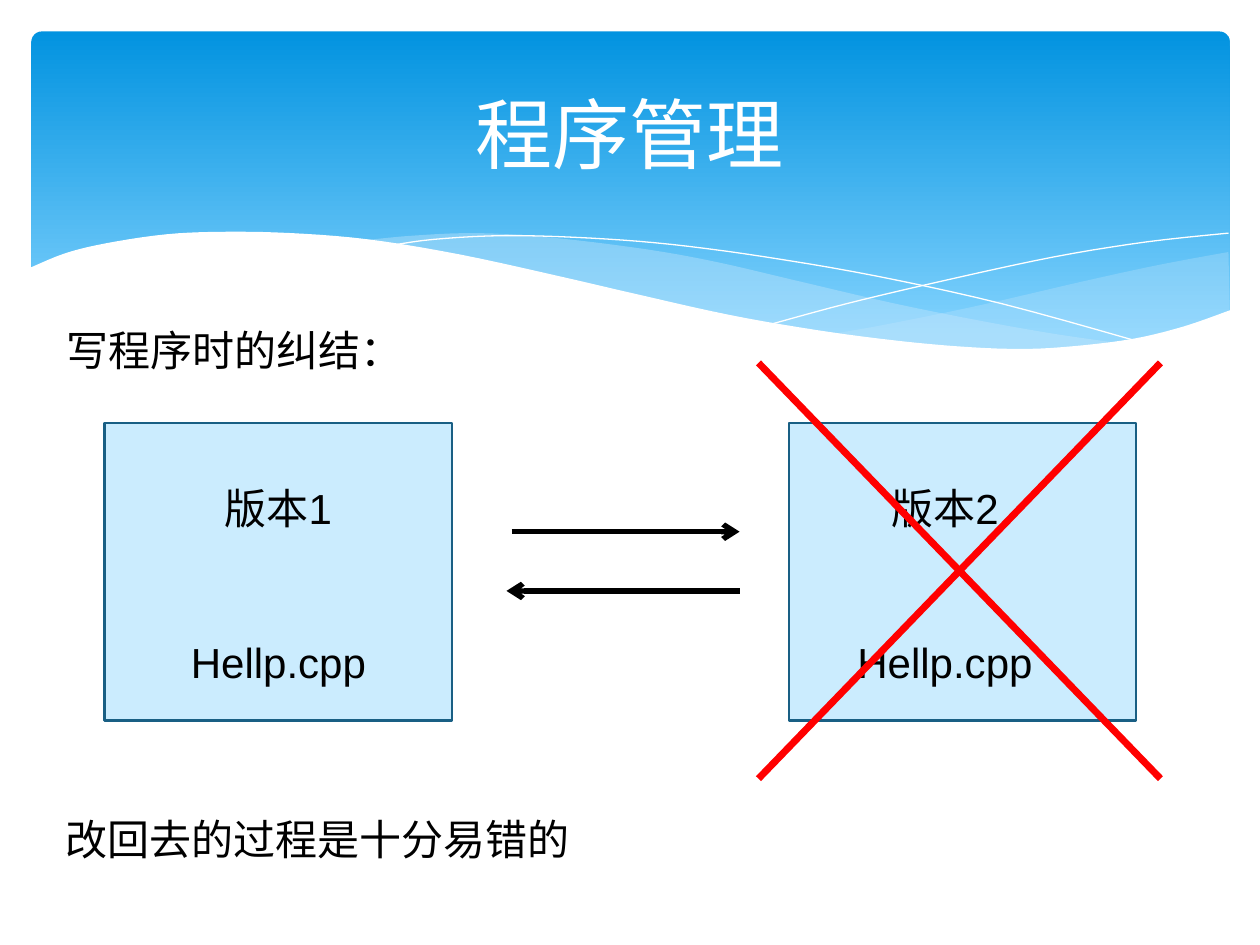
from dataclasses import dataclass

from lxml import etree
from pptx import Presentation
from pptx.dml.color import RGBColor
from pptx.enum.shapes import MSO_CONNECTOR, MSO_SHAPE
from pptx.enum.text import MSO_ANCHOR, MSO_AUTO_SIZE, PP_ALIGN
from pptx.oxml.ns import qn
from pptx.util import Inches, Pt

RECTANGLE, ROUNDED = MSO_SHAPE.RECTANGLE, MSO_SHAPE.ROUNDED_RECTANGLE
STRAIGHT = MSO_CONNECTOR.STRAIGHT
LEFT, CENTER = PP_ALIGN.LEFT, PP_ALIGN.CENTER


@dataclass(frozen=True)
class Theme:
    banner_top: RGBColor = RGBColor(0x02, 0x93, 0xE0)
    banner_bottom: RGBColor = RGBColor(0x83, 0xD3, 0xFE)
    wave: RGBColor = RGBColor(0xC6, 0xE7, 0xFC)
    white: RGBColor = RGBColor(0xFF, 0xFF, 0xFF)
    ink: RGBColor = RGBColor(0, 0, 0)
    card: RGBColor = RGBColor(0x31, 0xB6, 0xFD)
    card_edge: RGBColor = RGBColor(0x19, 0x5F, 0x84)
    cross: RGBColor = RGBColor(0xFF, 0, 0)
    title_size: Pt = Pt(44)
    body_size: Pt = Pt(24)
    body_font: str = "Calibri"
    card_font: str = "Arial"


THEME = Theme()

# Each outline is a list of curves, as points in inches from the banner's corner.
RIGHT_WAVE = [
    [(9.5, 1.75), (8.96, 1.85), (8.36, 1.98), (7.54, 2.17), (6.81, 2.32), (6.36, 2.4)],
    [(6.36, 2.4), (6.94, 2.47), (7.56, 2.52), (8.1, 2.52), (8.64, 2.47), (9.1, 2.37), (9.51, 2.22)],
]
MIDDLE_WAVE = [
    [(8.68, 2.48), (8.12, 2.4), (7.5, 2.29), (6.81, 2.15), (6.04, 1.97), (5.44, 1.83),
     (4.89, 1.73), (4.17, 1.64), (3.55, 1.6), (3.03, 1.62), (2.61, 1.66)],
    [(2.61, 1.66), (3.17, 1.74), (3.79, 1.86), (4.24, 1.97), (5.05, 2.15), (5.93, 2.33),
     (6.7, 2.45), (7.36, 2.52), (7.93, 2.53), (8.42, 2.51), (8.68, 2.48)],
]
FALLING_LINE = [
    [(2.84, 1.7), (3.19, 1.65), (3.76, 1.62), (4.44, 1.64), (5.08, 1.69), (5.83, 1.79),
     (6.7, 1.94), (7.7, 2.16), (8.82, 2.47)],
]
RISING_LINE = [
    [(5.88, 2.32), (6.47, 2.16), (7.23, 1.98), (8.11, 1.79), (8.85, 1.67), (9.5, 1.6)],
]
LOWER_EDGE = [
    [(9.52, 2.21), (9.15, 2.34), (8.74, 2.44), (8.25, 2.5), (7.84, 2.52), (7.36, 2.5),
     (6.83, 2.45), (6.23, 2.37), (5.54, 2.25), (4.78, 2.08), (4.22, 1.95), (3.4, 1.77),
     (2.67, 1.65), (2.05, 1.6), (1.52, 1.59), (1.07, 1.61), (0.6, 1.68), (0.27, 1.76),
     (-0.02, 1.88)],
    [(-0.02, 3.04)],
    [(9.52, 3.04)],
]


def smooth(points, steps=5):
    """Interpolate a Catmull-Rom curve through the points."""
    padded = [points[0], *points, points[-1]]
    curve = [points[0]]
    for a, b, c, d in zip(padded, padded[1:], padded[2:], padded[3:]):
        for step in range(1, steps + 1):
            t = step / steps
            curve.append(tuple(
                0.5 * (2 * q + (r - p) * t + (2 * p - 5 * q + 4 * r - s) * t**2
                       + (3 * q - p - 3 * r + s) * t**3)
                for p, q, r, s in zip(a, b, c, d)))
    return curve


def set_opacity(shape, percent):
    color = shape.element.spPr.find(qn("a:solidFill"))[0]
    etree.SubElement(color, qn("a:alpha"), val=str(percent * 1000))


def add_outline(slide, left, top, curves, fill=None, opacity=100):
    """Draw a filled outline, or a white hairline when there is no fill."""
    points = [(Inches(left + x), Inches(top + y))
              for curve in curves for x, y in smooth(curve)]
    builder = slide.shapes.build_freeform(*points[0])
    builder.add_line_segments(points[1:], close=fill is not None)
    outline = builder.convert_to_shape()
    outline.shadow.inherit = False
    if fill is None:
        outline.fill.background()
        outline.line.color.rgb = THEME.white
        outline.line.width = Pt(0)
        return
    outline.fill.solid()
    outline.fill.fore_color.rgb = fill
    outline.line.fill.background()
    if opacity < 100:
        set_opacity(outline, opacity)


def add_banner(slide, left, top, width, height):
    banner = slide.shapes.add_shape(
        ROUNDED, Inches(left), Inches(top), Inches(width), Inches(height))
    banner.adjustments[0] = 0.03
    banner.shadow.inherit = False
    banner.line.fill.background()
    banner.fill.gradient()
    banner.fill.gradient_angle = 270
    stops = zip(banner.fill.gradient_stops, (0, 0.9), (THEME.banner_top, THEME.banner_bottom))
    for stop, position, color in stops:
        stop.position = position
        stop.color.rgb = color
    add_outline(slide, left, top, RIGHT_WAVE, THEME.wave, 29)
    add_outline(slide, left, top, MIDDLE_WAVE, THEME.wave, 40)
    add_outline(slide, left, top, FALLING_LINE)
    add_outline(slide, left, top, RISING_LINE)
    add_outline(slide, left, top, LOWER_EDGE, THEME.white)


def add_run(paragraph, text, font, size, color):
    run = paragraph.add_run()
    run.text = text
    run.font.name = font
    run.font.size = size
    run.font.color.rgb = color


def place_title(slide, text, left, top, width, height):
    title = slide.shapes.title
    title.left, title.top = Inches(left), Inches(top)
    title.width, title.height = Inches(width), Inches(height)
    title.text_frame.vertical_anchor = MSO_ANCHOR.MIDDLE
    paragraph = title.text_frame.paragraphs[0]
    paragraph.alignment = CENTER
    add_run(paragraph, text, THEME.body_font, THEME.title_size, THEME.white)
    title.element.getparent().append(title.element)  # in front of the banner


def add_text(slide, lines, left, top, width, height, font=THEME.body_font, align=LEFT):
    box = slide.shapes.add_textbox(Inches(left), Inches(top), Inches(width), Inches(height))
    frame = box.text_frame
    frame.word_wrap = True
    frame.auto_size = MSO_AUTO_SIZE.SHAPE_TO_FIT_TEXT
    for index, line in enumerate(lines):
        paragraph = frame.add_paragraph() if index else frame.paragraphs[0]
        paragraph.alignment = align
        paragraph.line_spacing = 1.5
        add_run(paragraph, line, font, THEME.body_size, THEME.ink)
    return frame.paragraphs


def add_version_card(slide, version, left, top, width, height, right_indent=0):
    card = slide.shapes.add_shape(
        RECTANGLE, Inches(left), Inches(top), Inches(width), Inches(height))
    card.shadow.inherit = False
    card.fill.solid()
    card.fill.fore_color.rgb = THEME.card
    set_opacity(card, 25)
    card.line.color.rgb = THEME.card_edge
    card.line.width = Pt(1.25)
    label, file_name = add_text(
        slide, [version, "Hellp.cpp"], left + 0.2, top + 0.22, width - 0.4, height - 0.44,
        THEME.card_font, CENTER)
    label._p.get_or_add_pPr().set("marR", str(Inches(right_indent)))
    file_name.space_before = Pt(45)


def add_line(slide, start, end, color, width, arrow=False):
    line = slide.shapes.add_connector(STRAIGHT, *map(Inches, (*start, *end)))
    line.line.color.rgb = color
    line.line.width = Pt(width)
    properties = line.element.spPr
    if arrow:
        etree.SubElement(properties.find(qn("a:ln")), qn("a:tailEnd"), type="arrow")
    etree.SubElement(properties, qn("a:effectLst"))


def add_cross(slide, left, top, width, height):
    right, bottom = left + width, top + height
    add_line(slide, (left, top), (right, bottom), THEME.cross, 4)
    add_line(slide, (right, top), (left, bottom), THEME.cross, 4)


def main():
    deck = Presentation()
    deck.slide_width, deck.slide_height = Inches(10), Inches(7.5)
    slide = deck.slides.add_slide(deck.slide_layouts[5])
    add_banner(slide, 0.25, 0.25, 9.51, 2.7)
    place_title(slide, "程序管理", 0.5, 0.37, 9, 1.37)
    add_text(slide, ["写程序时的纠结："], 0.43, 2.33, 4.17, 0.65)
    add_version_card(slide, "版本1", 0.83, 3.36, 2.76, 2.36)
    add_version_card(slide, "版本2", 6.26, 3.36, 2.76, 2.36, right_indent=0.28)
    add_line(slide, (4.06, 4.22), (5.87, 4.22), THEME.ink, 3, arrow=True)
    add_cross(slide, 6.02, 2.88, 3.19, 3.3)
    add_line(slide, (5.87, 4.69), (4.02, 4.69), THEME.ink, 3, arrow=True)
    add_text(slide, ["改回去的过程是十分易错的"], 0.42, 6.21, 4.53, 0.71)
    deck.save("out.pptx")


if __name__ == "__main__":
    main()
